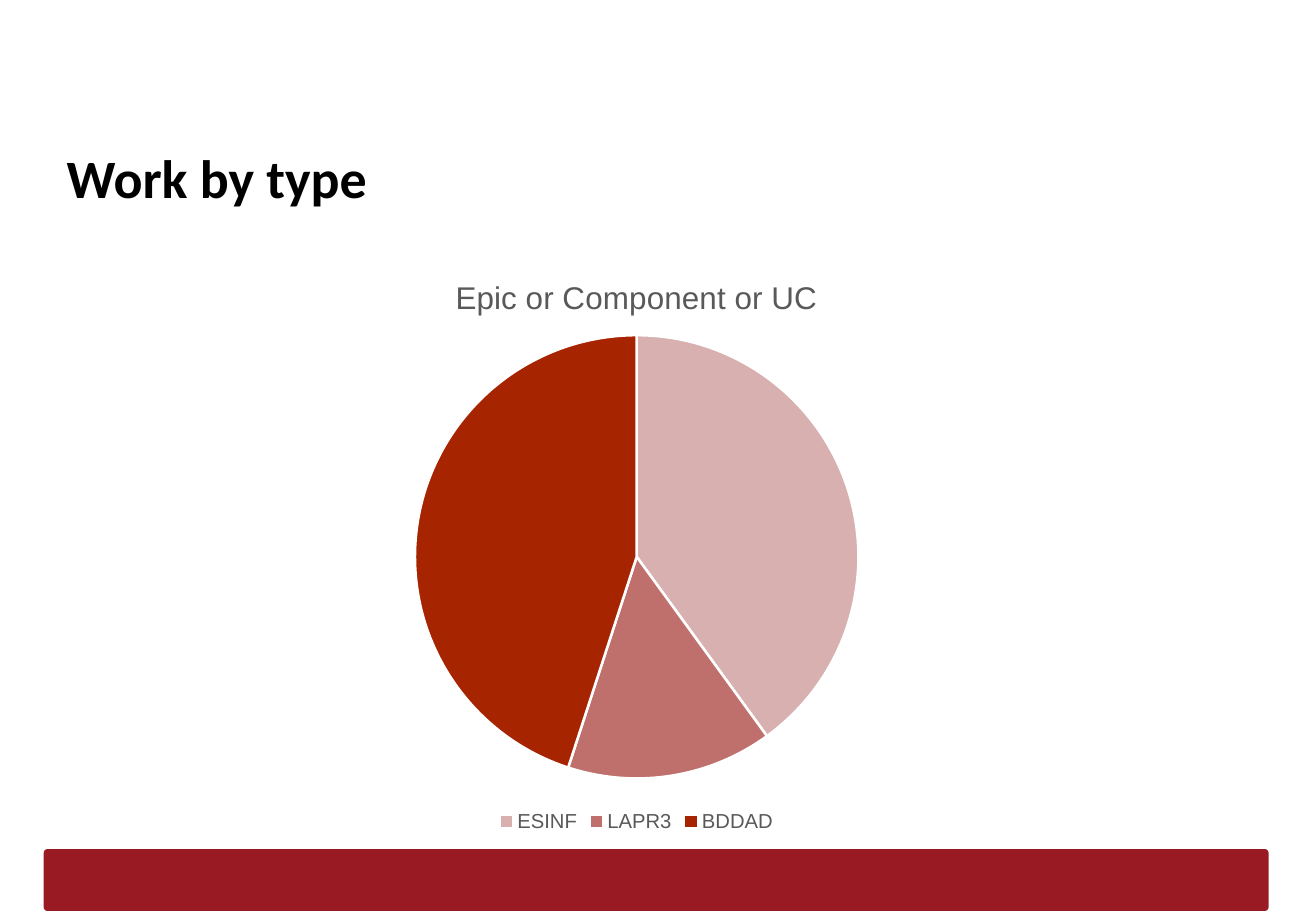
from lxml import etree
from pptx import Presentation
from pptx.chart.data import CategoryChartData
from pptx.dml.color import RGBColor
from pptx.enum.chart import XL_CHART_TYPE, XL_LEGEND_POSITION
from pptx.enum.shapes import MSO_SHAPE
from pptx.enum.text import MSO_ANCHOR, PP_ALIGN
from pptx.oxml.ns import qn
from pptx.util import Inches, Pt

PIE = XL_CHART_TYPE.PIE
LEGEND_BOTTOM = XL_LEGEND_POSITION.BOTTOM
ROUNDED = MSO_SHAPE.ROUNDED_RECTANGLE
TOP = MSO_ANCHOR.TOP
LEFT = PP_ALIGN.LEFT

HEADING = "Work by type"
CHART_TITLE = "Epic or Component or UC"
WORK = [("ESINF", 40, "D7B0AF"), ("LAPR3", 15, "BF706C"), ("BDDAD", 45, "A72400")]

THEME = {
    "heading_font": "Calibri", "chart_font": "Arial",
    "heading_size": 32, "title_size": 18.6, "legend_size": 12, "chart_size": 10,
    "black": "000000", "grey": "595959", "white": "FFFFFF", "bar": "9A1A24",
}
SLIDE_SIZE = (10.83, 7.5)
BAR_AT = (0.36, 6.99, 10.08, 0.51)
HEADING_AT = (0.45, 1.09, 9.89, 0.63)
CHART_AT = (1.63, 2.08, 7.22, 4.81)
PIE_TOP, PIE_DIAMETER = 0.68, 3.65


def colour(value):
    return RGBColor.from_string(value)


def inches(values):
    return [Inches(value) for value in values]


def style(font, face, size, tint, bold=False):
    font.name, font.size, font.bold = face, Pt(size), bold
    font.color.rgb = colour(tint)


def add_bar(page):
    bar = page.shapes.add_shape(ROUNDED, *inches(BAR_AT))
    bar.adjustments[0] = 0.06
    bar.shadow.inherit = False
    bar.fill.solid()
    bar.fill.fore_color.rgb = colour(THEME["bar"])
    bar.line.fill.background()


def add_heading(page):
    frame = page.shapes.add_textbox(*inches(HEADING_AT)).text_frame
    frame.word_wrap = True
    frame.vertical_anchor = TOP
    frame.margin_left = frame.margin_right = Inches(0.1)
    frame.margin_top = frame.margin_bottom = Inches(0.1)
    para = frame.paragraphs[0]
    para.alignment = LEFT
    span = para.add_run()
    span.text = HEADING
    style(span.font, THEME["heading_font"], THEME["heading_size"], THEME["black"], True)


def place_pie(chart):
    width, height = CHART_AT[2:]
    area = chart._chartSpace.find(".//" + qn("c:plotArea"))
    for old in area.findall(qn("c:layout")):
        area.remove(old)
    layout = etree.Element(qn("c:layout"))
    area.insert(0, layout)
    manual = etree.SubElement(layout, qn("c:manualLayout"))
    settings = [
        ("layoutTarget", "inner"), ("xMode", "edge"), ("yMode", "edge"),
        ("x", (width - PIE_DIAMETER) / 2 / width), ("y", PIE_TOP / height),
        ("w", PIE_DIAMETER / width), ("h", PIE_DIAMETER / height),
    ]
    for name, value in settings:
        etree.SubElement(manual, qn("c:" + name)).set("val", str(value))


def add_work_chart(page):
    data = CategoryChartData()
    data.categories = [name for name, _, _ in WORK]
    data.add_series("Series 1", [share for _, share, _ in WORK])
    chart = page.shapes.add_chart(PIE, *inches(CHART_AT), data).chart
    face = THEME["chart_font"]
    style(chart.font, face, THEME["chart_size"], THEME["black"])

    chart.has_title = True
    span = chart.chart_title.text_frame.paragraphs[0].add_run()
    span.text = CHART_TITLE
    style(span.font, face, THEME["title_size"], THEME["grey"])
    chart.chart_title.include_in_layout = False

    chart.has_legend = True
    chart.legend.position = LEGEND_BOTTOM
    chart.legend.include_in_layout = False
    style(chart.legend.font, face, THEME["legend_size"], THEME["grey"])

    plot = chart.plots[0]
    plot.vary_by_categories = True
    for index, (_, _, tint) in enumerate(WORK):
        slice_format = plot.series[0].points[index].format
        slice_format.fill.solid()
        slice_format.fill.fore_color.rgb = colour(tint)
        slice_format.line.color.rgb = colour(THEME["white"])
        slice_format.line.width = Pt(1.5)
    place_pie(chart)


def main():
    deck = Presentation()
    deck.slide_width, deck.slide_height = inches(SLIDE_SIZE)
    page = deck.slides.add_slide(deck.slide_layouts[6])
    add_bar(page)
    add_heading(page)
    add_work_chart(page)
    deck.save("out.pptx")


if __name__ == "__main__":
    main()
